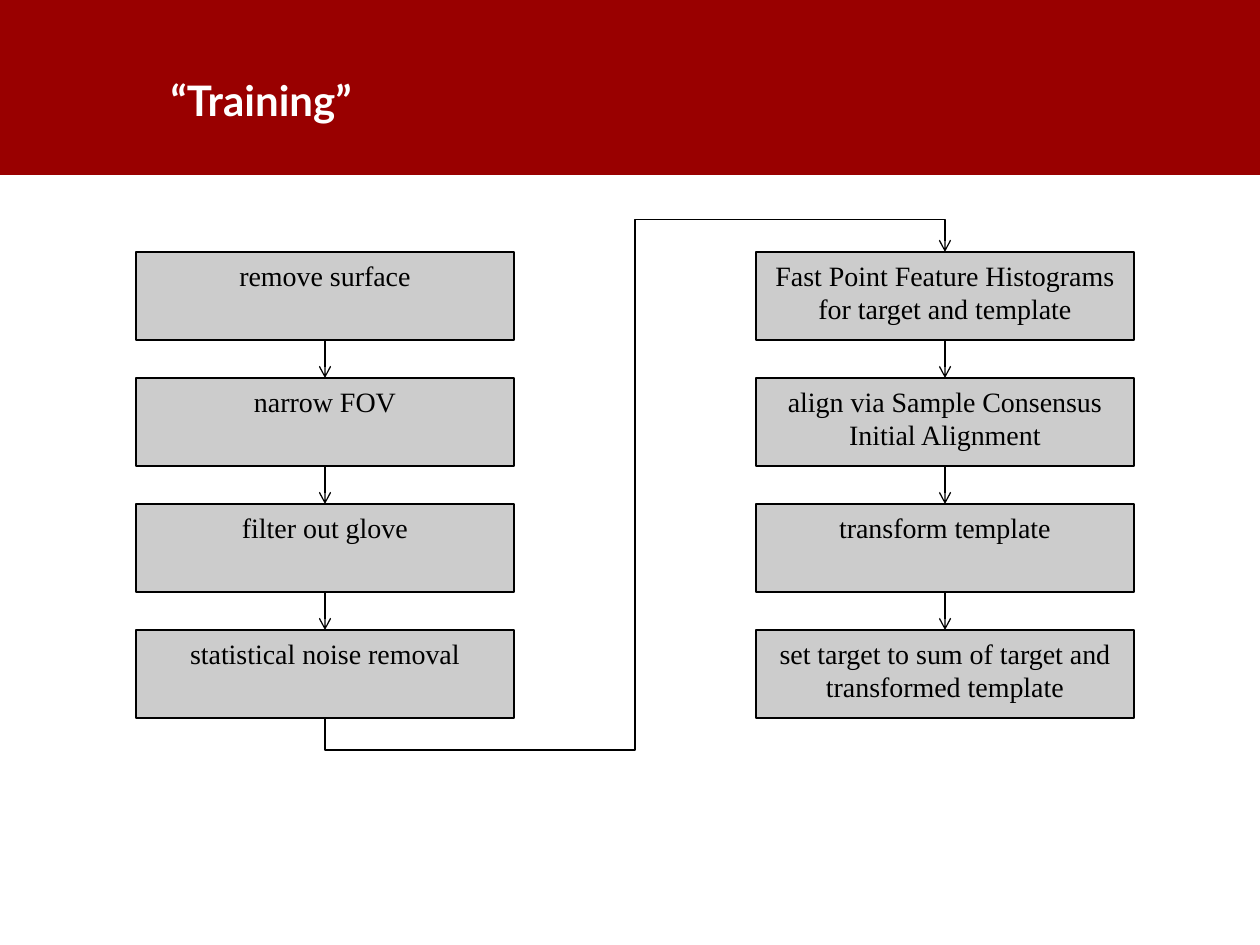
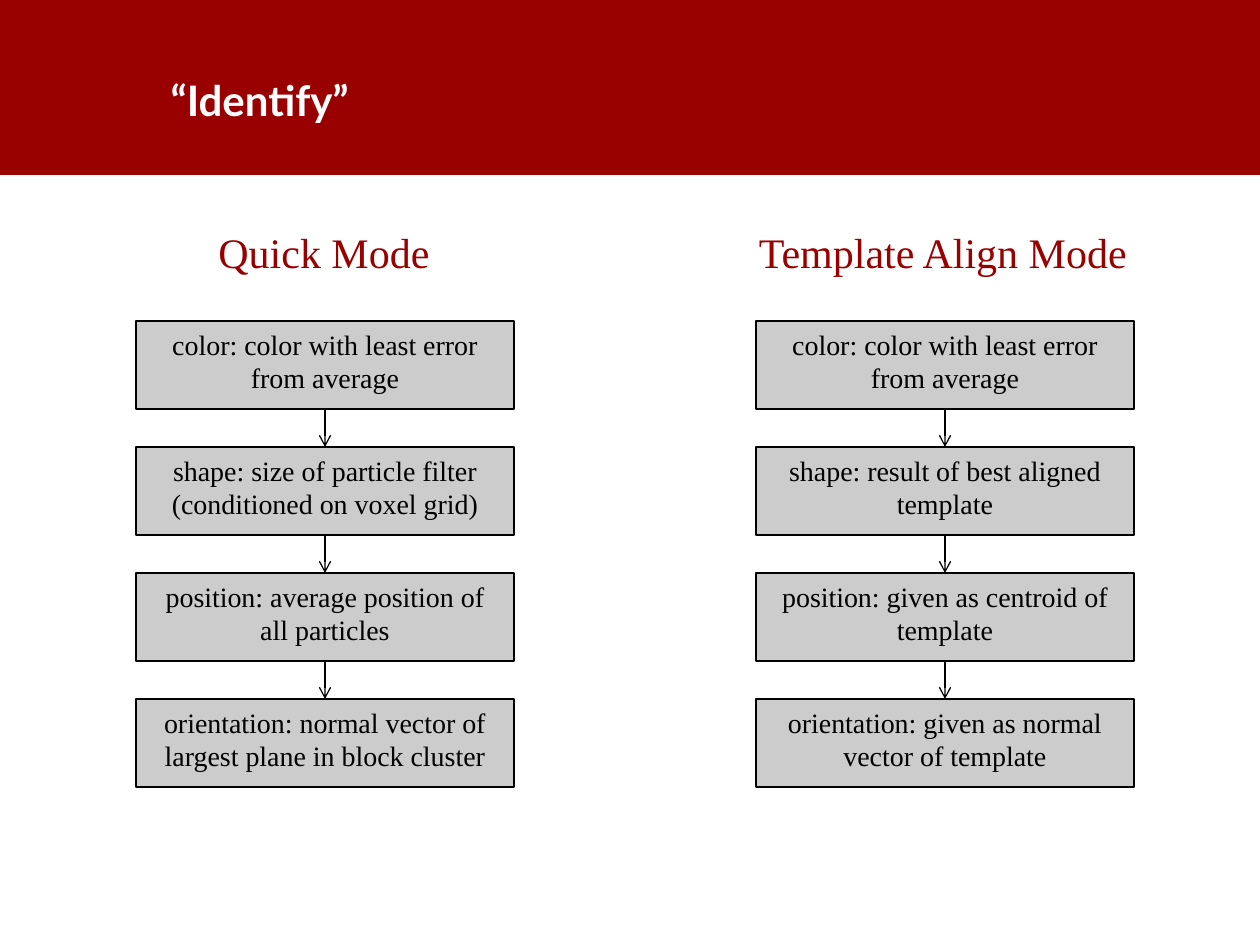
from lxml import etree
from pptx import Presentation
from pptx.dml.color import RGBColor
from pptx.enum.shapes import MSO_CONNECTOR, MSO_SHAPE
from pptx.enum.text import MSO_ANCHOR, MSO_AUTO_SIZE, PP_ALIGN
from pptx.oxml.ns import qn
from pptx.util import Emu, Pt

RECT, STEP = MSO_SHAPE.RECTANGLE, MSO_SHAPE.FLOWCHART_PROCESS
STRAIGHT, ELBOW = MSO_CONNECTOR.STRAIGHT, MSO_CONNECTOR.ELBOW
TOP, LEFT, CENTER = MSO_ANCHOR.TOP, PP_ALIGN.LEFT, PP_ALIGN.CENTER
NONE, GROW = MSO_AUTO_SIZE.NONE, MSO_AUTO_SIZE.SHAPE_TO_FIT_TEXT

RED = RGBColor(0x99, 0x00, 0x00)
DEEP = RGBColor(0x99, 0x01, 0x00)
GRAY = RGBColor(0xCC, 0xCC, 0xCC)
BLACK = RGBColor(0x00, 0x00, 0x00)
WHITE = RGBColor(0xFF, 0xFF, 0xFF)
SANS, SERIF = "Lato", "Times New Roman"

WIDE, HIGH, BAND = 1260, 945, 175
COLS = (136, 756)
BOX_W, BOX_H, PITCH = 378, 88, 126
RISE = 32

TRAIN = (
    ("remove surface", "narrow FOV", "filter out glove",
     "statistical noise removal"),
    ("Fast Point Feature Histograms for target and template",
     "align via Sample Consensus Initial Alignment",
     "transform template",
     "set target to sum of target and transformed template"),
)
MODES = (
    ("Quick Mode", 238, (
        "color: color with least error from average",
        "shape: size of particle filter (conditioned on voxel grid)",
        "position: average position of all particles",
        "orientation: normal vector of largest plane in block cluster")),
    ("Template Align Mode", 397, (
        "color: color with least error from average",
        "shape: result of best aligned template",
        "position: given as centroid of template",
        "orientation: given as normal vector of template")),
)


def px(n):
    """Turn px into EMU."""
    return Emu(round(n * 914400 / 126))


def place(shape, *box):
    """Move a shape to a box of left, top, width and height."""
    shape.left, shape.top, shape.width, shape.height = map(px, box)


def write(shape, text, face, size, color, align, bold=False):
    """Fill a shape with one styled paragraph."""
    para = shape.text_frame.paragraphs[0]
    para.text, para.alignment = text, align
    font = para.font
    font.name, font.size, font.bold = face, Pt(size), bold
    font.color.rgb = color
    return para


def add_band(prs, slide):
    """Put the red band behind everything, on the master."""
    band = slide.shapes.add_shape(RECT, 0, 0, px(WIDE), px(BAND))
    band.shadow.inherit = False
    band.fill.solid()
    band.fill.fore_color.rgb = RED
    band.line.fill.background()
    prs.slide_master.shapes._spTree.insert(2, band._element)


def add_title(slide, text):
    """Place and style the slide title."""
    title = slide.shapes.title
    place(title, 158, 63, 1071, 158)
    frame = title.text_frame
    frame.vertical_anchor, frame.auto_size = TOP, NONE
    write(title, text, SANS, 24, WHITE, LEFT, True).line_spacing = 1.1


def add_step(slide, text, left, top):
    """Draw one gray process box."""
    step = slide.shapes.add_shape(STEP, *map(px, (left, top, BOX_W, BOX_H)))
    step.shadow.inherit = False
    step.fill.solid()
    step.fill.fore_color.rgb = GRAY
    step.line.color.rgb = BLACK
    step.line.width = Pt(0.75)
    step.text_frame.word_wrap = True
    step.text_frame.vertical_anchor = TOP
    write(step, text, SERIF, 16, BLACK, CENTER)
    return step


def add_arrow(slide, start, end, kind=STRAIGHT):
    """Join the bottom of one box to the top of another."""
    arrow = slide.shapes.add_connector(kind, 0, 0, 0, 0)
    arrow.begin_connect(start, 2)
    arrow.end_connect(end, 0)
    arrow.line.color.rgb = BLACK
    arrow.line.width = Pt(0.75)
    etree.SubElement(arrow.line._get_or_add_ln(), qn("a:tailEnd"), type="arrow")
    etree.SubElement(arrow._element.spPr, qn("a:effectLst"))
    return arrow


def add_flow(slide, texts, left, top):
    """Stack boxes in a column and link each to the next."""
    steps = [add_step(slide, text, left, top + i * PITCH)
             for i, text in enumerate(texts)]
    for start, end in zip(steps, steps[1:]):
        add_arrow(slide, start, end)
    return steps


def add_bend(slide, start, end, top, count):
    """Lead from the foot of one column over to the head of the next."""
    bend = add_arrow(slide, start, end, ELBOW)
    span = (count - 1) * PITCH + BOX_H
    reach = COLS[1] - COLS[0]
    mid = (sum(COLS) + BOX_W) / 2
    place(bend, mid - span / 2, top + (span - reach) / 2, span, reach)
    props = bend._element.spPr
    form = props.find(qn("a:xfrm"))
    for key, value in (("rot", "5400000"), ("flipH", "1"), ("flipV", "1")):
        form.set(key, value)
    geom = props.find(qn("a:prstGeom"))
    geom.set("prst", "bentConnector5")
    guides = geom.find(qn("a:avLst"))
    if guides is None:
        guides = etree.SubElement(geom, qn("a:avLst"))
    over = round(100000 * RISE / span)
    for i, value in enumerate((-over, 50000, 100000 + over), 1):
        etree.SubElement(guides, qn("a:gd"), name=f"adj{i}", fmla=f"val {value}")


def add_head(slide, text, left, top, width):
    """Centre a heading over a column."""
    head = slide.shapes.add_textbox(0, 0, 0, 0)
    place(head, left + (BOX_W - width) / 2, top, width, 63)
    head.text_frame.word_wrap = False
    head.text_frame.auto_size = GROW
    write(head, text, SERIF, 24, DEEP, LEFT)


def fill_train(slide, top):
    """Build the training slide: one flow over two columns."""
    add_title(slide, "“Training”")
    first, last = [add_flow(slide, texts, left, top)
                   for texts, left in zip(TRAIN, COLS)]
    add_bend(slide, first[-1], last[0], top, len(first))


def fill_modes(slide, top):
    """Build the identify slide: two headed flows."""
    add_title(slide, "“Identify”")
    for (name, width, texts), left in zip(MODES, COLS):
        add_flow(slide, texts, left, top + 101)
        add_head(slide, name, left, top, width)


def main():
    """Build and save both slides."""
    prs = Presentation()
    prs.slide_width, prs.slide_height = px(WIDE), px(HIGH)
    plain = prs.slide_layouts[5]
    train, modes = [prs.slides.add_slide(plain) for _ in range(2)]
    add_band(prs, train)
    fill_train(train, 252)
    fill_modes(modes, 220)
    prs.save("out.pptx")


if __name__ == "__main__":
    main()
